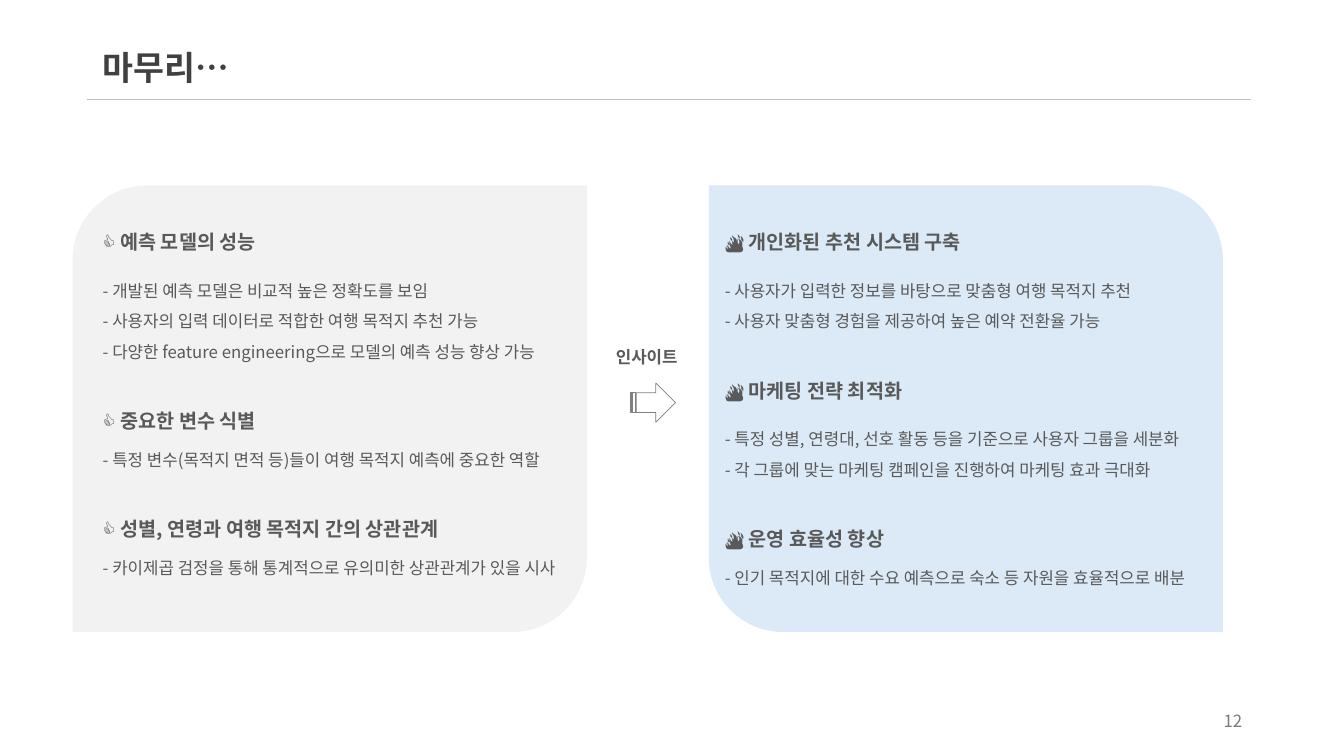
import pptx
import pptx.util
import pptx.dml.color
import pptx.enum.shapes
import pptx.enum.text
import pptx.oxml.ns
import lxml.etree

PX = 9144  # EMU per px, 100 px to the inch
FONT = "Noto Sans CJK KR"
BODY_GREY = "595959"
PANEL_TOP, PANEL_WIDTH, PANEL_HEIGHT = 184, 510, 443
LINE = 14.5  # line heights in points
LOOSE_LINE = 21.8

# Each topic: heading, line height of its points, points
FINDINGS = [
    ("👍 예측 모델의 성능", LOOSE_LINE, [
        "- 개발된 예측 모델은 비교적 높은 정확도를 보임",
        "- 사용자의 입력 데이터로 적합한 여행 목적지 추천 가능",
        "- 다양한 feature engineering으로 모델의 예측 성능 향상 가능"]),
    ("👍 중요한 변수 식별", LINE, [
        "- 특정 변수(목적지 면적 등)들이 여행 목적지 예측에 중요한 역할"]),
    ("👍 성별, 연령과 여행 목적지 간의 상관관계", LINE, [
        "- 카이제곱 검정을 통해 통계적으로 유의미한 상관관계가 있을 시사"]),
]
INSIGHTS = [
    ("🔥 개인화된 추천 시스템 구축", LOOSE_LINE, [
        "- 사용자가 입력한 정보를 바탕으로 맞춤형 여행 목적지 추천",
        "- 사용자 맞춤형 경험을 제공하여 높은 예약 전환율 가능"]),
    ("🔥 마케팅 전략 최적화", LOOSE_LINE, [
        "- 특정 성별, 연령대, 선호 활동 등을 기준으로 사용자 그룹을 세분화",
        "- 각 그룹에 맞는 마케팅 캠페인을 진행하여 마케팅 효과 극대화"]),
    ("🔥 운영 효율성 향상", LINE, [
        "- 인기 목적지에 대한 수요 예측으로 숙소 등 자원을 효율적으로 배분"]),
]


def px(*lengths):
    return [pptx.util.Emu(length * PX) for length in lengths]


def rgb(hex_color):
    return pptx.dml.color.RGBColor.from_string(hex_color)


def write(paragraph, text, size, color, bold, line):
    paragraph.text = text
    paragraph.line_spacing = pptx.util.Pt(line)
    for run in paragraph.runs:
        font = run.font
        font.name, font.size, font.bold = FONT, pptx.util.Pt(size), bold
        font.color.rgb = rgb(color)
        east_asian = lxml.etree.SubElement(font._element, pptx.oxml.ns.qn("a:ea"))
        east_asian.set("typeface", FONT)


def add_frame(slide, box, middle=False):
    frame = slide.shapes.add_textbox(*px(*box)).text_frame
    frame.word_wrap = True
    if middle:
        frame.vertical_anchor = pptx.enum.text.MSO_ANCHOR.MIDDLE
    return frame


def add_label(slide, box, text, size, color, bold, line, middle=False):
    label = add_frame(slide, box, middle).paragraphs[0]
    write(label, text, size, color, bold, line)
    return label


def add_panel(slide, left, color, corners):
    panel = slide.shapes.add_shape(
        pptx.enum.shapes.MSO_SHAPE.ROUND_2_DIAG_RECTANGLE,
        *px(left, PANEL_TOP, PANEL_WIDTH, PANEL_HEIGHT))
    panel.adjustments[0], panel.adjustments[1] = corners
    panel.shadow.inherit = False
    panel.fill.solid()
    panel.fill.fore_color.rgb = rgb(color)
    panel.line.fill.background()


def add_topics(slide, box, topics):
    frame = add_frame(slide, box)
    for index, (topic, line, points) in enumerate(topics):
        heading = frame.add_paragraph() if index else frame.paragraphs[0]
        write(heading, topic, 14, BODY_GREY, True, 17)
        heading.space_before = pptx.util.Pt(33.5 if index else 0)
        heading.space_after = pptx.util.Pt(12)
        for point in points:
            write(frame.add_paragraph(), point, 12, BODY_GREY, False, line)


def add_rule(slide, left, right, y):
    rule = slide.shapes.add_connector(
        pptx.enum.shapes.MSO_CONNECTOR.STRAIGHT, *px(left, y, right, y))
    rule.line.color.rgb = rgb("BFBFBF")
    rule.line.width = pptx.util.Pt(1)
    properties = rule._element.spPr
    lxml.etree.SubElement(properties, pptx.oxml.ns.qn("a:effectLst"))


def add_arrow(slide, box):
    arrow = slide.shapes.add_shape(
        pptx.enum.shapes.MSO_SHAPE.STRIPED_RIGHT_ARROW, *px(*box))
    arrow.shadow.inherit = False
    arrow.fill.background()
    arrow.line.color.rgb = rgb("808080")
    arrow.line.width = pptx.util.Pt(0.5)


def main():
    deck = pptx.Presentation()
    deck.slide_width, deck.slide_height = px(1333, 750)
    slide = deck.slides.add_slide(deck.slide_layouts[6])

    # Panels, mirror images of each other
    add_panel(slide, 72, "F2F2F2", (0.16667, 0))
    add_panel(slide, 703, "DCEAF7", (0, 0.16667))

    # Title, rule and page number
    add_label(slide, (92, 40, 1150, 53), "마무리…", 24, "404040", True, 29, middle=True)
    page = add_label(slide, (942, 695, 300, 40), "12", 12, "797979", False, LINE, middle=True)
    page.alignment = pptx.enum.text.PP_ALIGN.RIGHT
    add_rule(slide, 86, 1241, 99)

    # Findings and the insights drawn from them
    add_topics(slide, (92, 223, 506, 357), FINDINGS)
    add_topics(slide, (709, 223, 506, 367), INSIGHTS)
    add_arrow(slide, (625, 380, 45, 39))
    add_label(slide, (601, 339, 90, 30), "인사이트", 12, BODY_GREY, True, LINE)

    deck.save("out.pptx")


if __name__ == "__main__":
    main()
